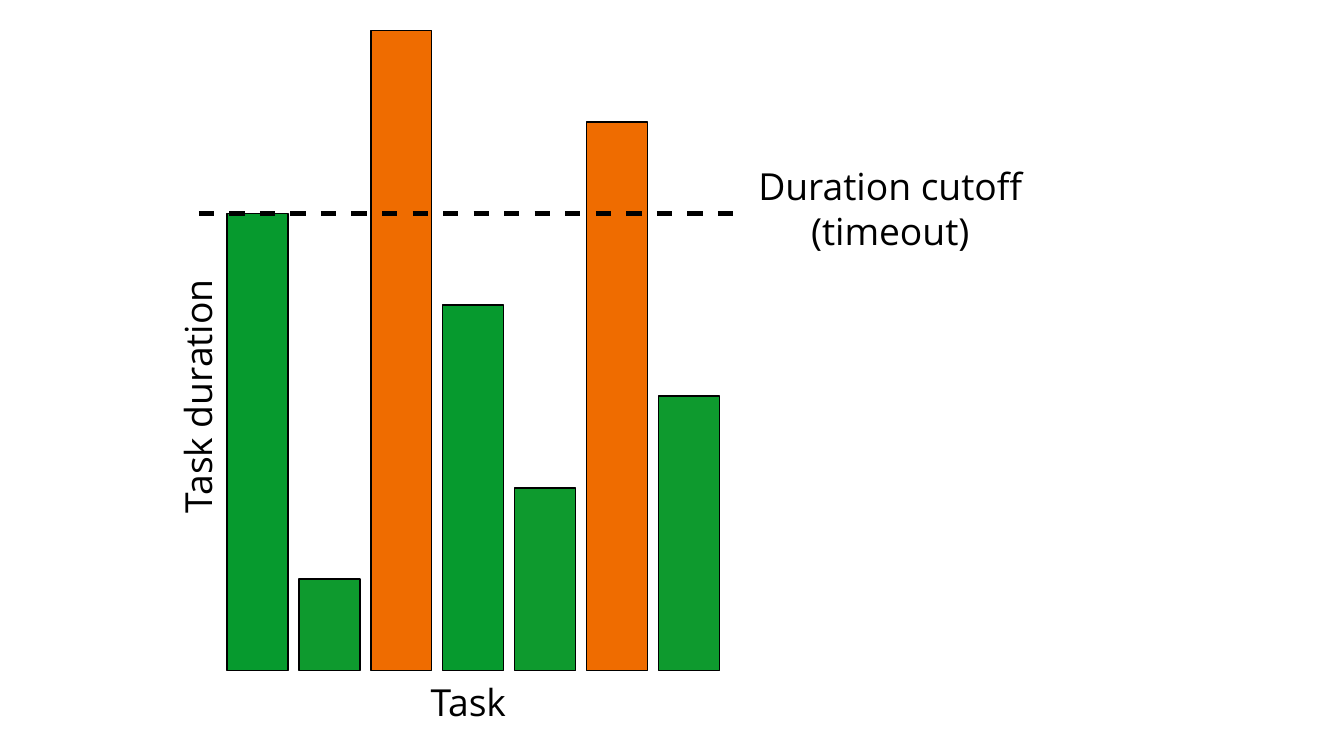
from lxml import etree
from pptx import Presentation
from pptx.dml.color import RGBColor
from pptx.enum import shapes, text
from pptx.oxml import ns
from pptx.util import Inches, Pt

COLORS = {"within": "0E9A2E", "at_limit": "069A2E", "timed_out": "EF6C00", "ink": "000000"}
FONT = "Open Sans"
BASELINE, FIRST_LEFT, PITCH, BAR_WIDTH, UNIT = 5.5, 1.86, 0.59, 0.5, 0.75
CUTOFF = 5
TASKS = [(5, "at_limit"), (1, "within"), (7, "timed_out"), (4, "at_limit"),
         (2, "within"), (6, "timed_out"), (3, "within")]


class Sketch:
    """Holds the style and the current slide."""

    def __init__(self, slide):
        """Keep the slide to draw on."""
        self.shapes = slide.shapes

    def color(self, name):
        """Return a named colour."""
        return RGBColor.from_string(COLORS[name])

    def bar(self, left, height, fill):
        """Draw an outlined bar standing on the baseline."""
        bar = self.shapes.add_shape(
            shapes.MSO_SHAPE.RECTANGLE, Inches(left), Inches(BASELINE - height),
            Inches(BAR_WIDTH), Inches(height))
        bar.shadow.inherit = False
        bar.fill.solid()
        bar.fill.fore_color.rgb = self.color(fill)
        bar.line.color.rgb = self.color("ink")
        bar.line.width = Pt(1)

    def label(self, words, left, top, width, height, rotation=0):
        """Write a centred label."""
        label = self.shapes.add_textbox(
            Inches(left), Inches(top), Inches(width), Inches(height))
        label.rotation = rotation
        frame = label.text_frame
        frame.word_wrap = True
        frame.text = words
        paragraph = frame.paragraphs[0]
        paragraph.alignment = text.PP_ALIGN.CENTER
        font = paragraph.runs[0].font
        font.name, font.size = FONT, Pt(22)
        font.color.rgb = self.color("ink")

    def dashed_line(self, start, end, y):
        """Draw a horizontal line with dashes and gaps of three line widths."""
        rule = self.shapes.add_connector(
            shapes.MSO_CONNECTOR.STRAIGHT, Inches(start), Inches(y), Inches(end), Inches(y))
        rule.line.color.rgb = self.color("ink")
        rule.line.width = Pt(3)
        dashes = etree.SubElement(rule.line._get_or_add_ln(), ns.qn("a:custDash"))
        etree.SubElement(dashes, ns.qn("a:ds"), d="300000", sp="300000")
        etree.SubElement(rule._element.spPr, ns.qn("a:effectLst"))


deck = Presentation()
deck.slide_width, deck.slide_height = Inches(11.02), Inches(6.2)
sketch = Sketch(deck.slides.add_slide(deck.slide_layouts[6]))

for position, (duration, outcome) in enumerate(TASKS):
    sketch.bar(FIRST_LEFT + position * PITCH, duration * UNIT, outcome)

sketch.dashed_line(1.63, 6.12, BASELINE - CUTOFF * UNIT)
sketch.label("Task", 3.43, 5.52, 0.82, 0.52)
sketch.label("Task duration", 0.52, 2.99, 2.25, 0.52, rotation=270)
sketch.label("Duration cutoff (timeout)", 6.1, 1.29, 2.4, 0.93)

deck.save("out.pptx")
